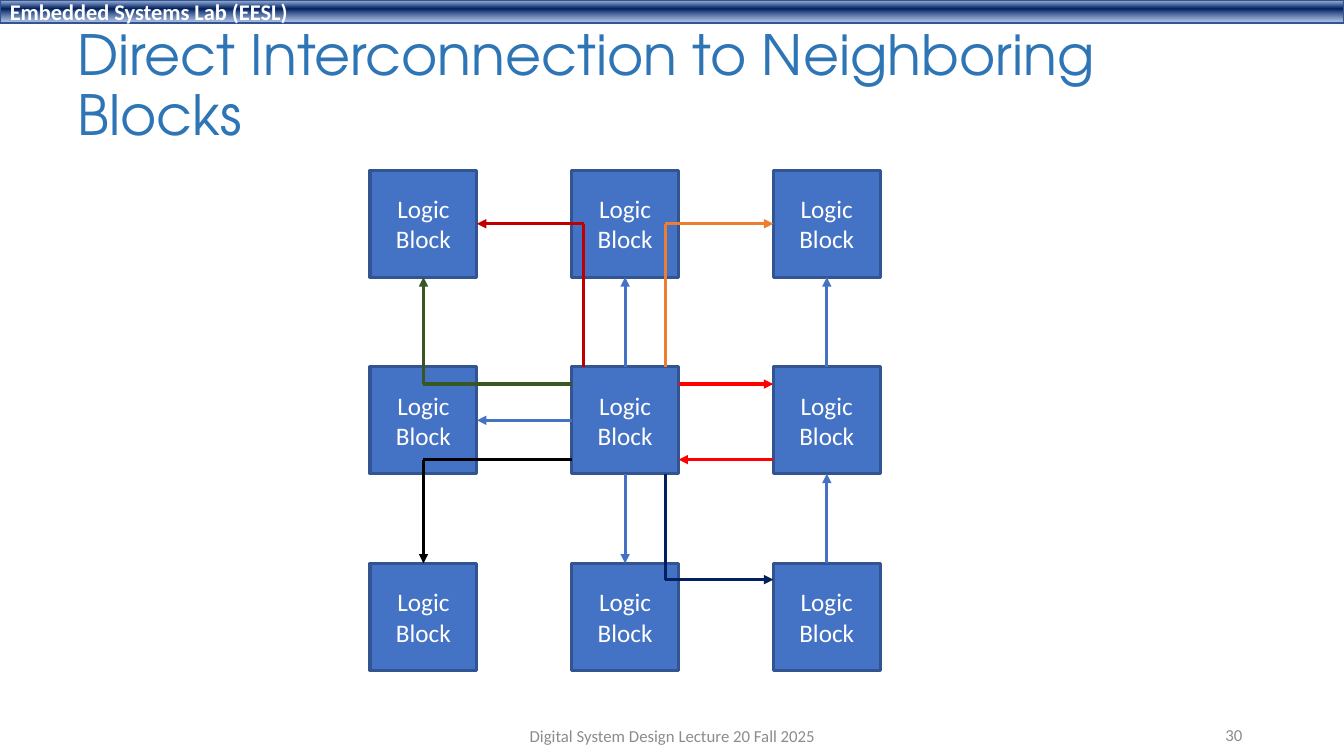
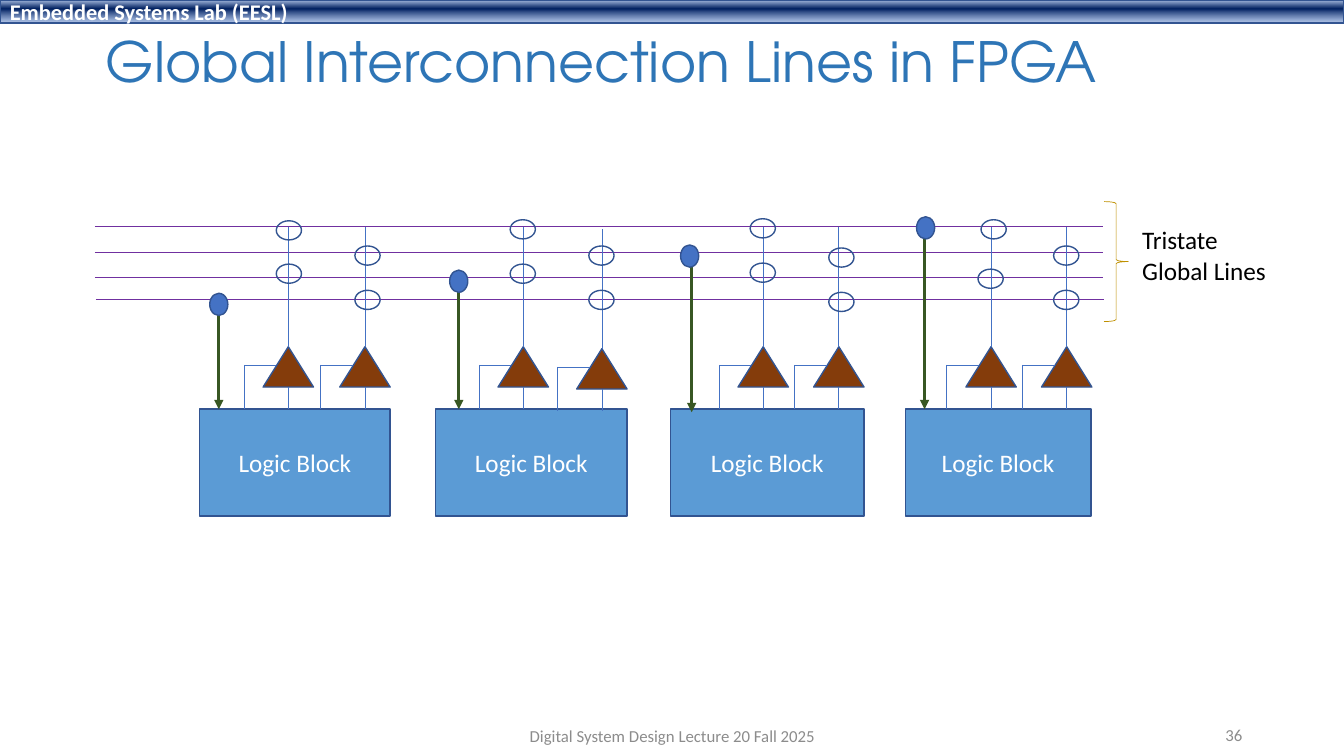
import pptx
import pptx.util
import pptx.dml.color
import pptx.enum.shapes
import pptx.enum.text
import pptx.oxml
import pptx.oxml.ns
from lxml import etree

PX = 9144  # EMU per px, 100 px to the inch
SHAPE = pptx.enum.shapes.MSO_SHAPE
ALIGN = pptx.enum.text.PP_ALIGN
ANCHOR = pptx.enum.text.MSO_ANCHOR

# Shared look
BODY, HEAD = "Calibri", "TeX Gyre Adventor"
WHITE, BLACK, GREY, TITLE = "FFFFFF", "000000", "8C8C8C", "2E75B6"
BLUE, SKY, EDGE, GREEN = "4472C4", "5B9BD5", "325491", "385723"
PURPLE, BROWN, GOLD, RED = "7030A0", "843C0B", "BF9000", "FF0000"
BAND_STOPS = [(2, "ABC0E4", 100), (38, "002060", 100), (93, "7E9ED6", 64)]
BAND_TEXT = "Embedded Systems Lab (EESL)"
FOOTER = "Digital System Design Lecture 20 Fall 2025"

# Slide 1: grid of blocks, and wires as point lists that end in an arrow
GRID_X = [367 + 200 * i for i in range(3)]
GRID_Y = [169 + 195 * i for i in range(3)]
SIDE = 106
WIRES = [
    ("C00000", [(579, 364), (579, 222), (473, 222)]),
    (BLUE, [(620, 364), (620, 275)]),
    ("ED7D31", [(660, 364), (660, 222), (767, 222)]),
    (GREEN, [(567, 381), (420, 381), (420, 275)]),
    (BLUE, [(567, 417), (473, 417)]),
    (BLACK, [(567, 456), (420, 456), (420, 559)]),
    (BLUE, [(620, 470), (620, 559)]),
    (RED, [(673, 381), (767, 381)]),
    (RED, [(767, 456), (673, 456)]),
    (BLUE, [(820, 559), (820, 470)]),
    (BLUE, [(820, 364), (820, 275)]),
    ("002060", [(660, 470), (660, 575), (767, 575)]),
]

# Slide 2: four cells under four global lines
GLOBAL_LINES = [(94, 225), (94, 250), (94, 275), (95, 297)]  # left, y
CELLS = [  # block left and width, drivers (centre x, drop), rings (left, top),
           # input (dot left, dot top, arrow x, arrow end)
    dict(block=(198, 189), drivers=[(286, 0), (362, 0)],
         rings=[(274, 219), (274, 262), (352, 244), (352, 288)],
         dot=(208, 291, 217, 406)),
    dict(block=(432, 190), drivers=[(519, 0), (597, 2)],
         rings=[(506, 218), (506, 262), (584, 244), (584, 288)],
         dot=(446, 268, 455, 406)),
    dict(block=(665, 192), drivers=[(757, 0), (832, 0)],
         rings=[(744, 217), (744, 261), (822, 246), (822, 290)],
         dot=(675, 243, 686, 409)),
    dict(block=(898, 184), drivers=[(983, 0), (1058, 0)],
         rings=[(973, 218), (970, 267), (1045, 244), (1045, 288)],
         dot=(909, 215, 917, 406)),
]


def rgb(value):
    return pptx.dml.color.RGBColor.from_string(value)


def px(*values):
    return [pptx.util.Emu(v * PX) for v in values]


def write(shape, lines, size, color, align=ALIGN.LEFT, font=BODY, bold=False,
          anchor=ANCHOR.MIDDLE, spacing=None, wrap=True):
    tf = shape.text_frame
    tf.text = lines
    tf.word_wrap = wrap
    tf.vertical_anchor = anchor
    for p in tf.paragraphs:
        p.alignment = align
        p.line_spacing = spacing
        for r in p.runs:
            r.font.name, r.font.size = font, pptx.util.Pt(size)
            r.font.bold, r.font.color.rgb = bold, rgb(color)


def label(s, box, lines, size, color, **style):
    write(s.shapes.add_textbox(*px(*box)), lines, size, color, **style)


def draw(s, kind, box, fill=None, line=EDGE, width=1):
    sp = s.shapes.add_shape(kind, *px(*box))
    sp.shadow.inherit = False
    if fill:
        sp.fill.solid()
        sp.fill.fore_color.rgb = rgb(fill)
    else:
        sp.fill.background()
    sp.line.color.rgb = rgb(line)
    sp.line.width = pptx.util.Pt(width)
    return sp


def block(s, box, fill, width):
    sp = draw(s, SHAPE.RECTANGLE, box, fill, width=width)
    write(sp, "Logic Block", 18, WHITE, align=ALIGN.CENTER)


def wire(s, points, color, width, arrow=False):
    """Draw straight segments through the points."""
    for start, end in zip(points, points[1:]):
        c = s.shapes.add_connector(pptx.enum.shapes.MSO_CONNECTOR.STRAIGHT,
                                   *px(*start, *end))
        c.line.color.rgb = rgb(color)
        c.line.width = pptx.util.Pt(width)
        if arrow and end == points[-1]:
            etree.SubElement(c.line._get_or_add_ln(),
                             pptx.oxml.ns.qn("a:tailEnd"), type="triangle")
        etree.SubElement(c._element.spPr, pptx.oxml.ns.qn("a:effectLst"))


def band(s):
    sp = draw(s, SHAPE.RECTANGLE, (0, 0, 1333, 23))
    sp.fill.gradient()
    sp.fill.gradient_angle = 270
    stops = "".join(
        f'<a:gs pos="{pos * 1000}"><a:srgbClr val="{color}">'
        f'<a:alpha val="{alpha * 1000}"/></a:srgbClr></a:gs>'
        for pos, color, alpha in BAND_STOPS)
    ns = pptx.oxml.ns.nsdecls("a")
    old = sp._element.spPr.find(".//" + pptx.oxml.ns.qn("a:gsLst"))
    old.getparent().replace(
        old, pptx.oxml.parse_xml(f"<a:gsLst {ns}>{stops}</a:gsLst>"))
    write(sp, BAND_TEXT, 16, WHITE, bold=True)


def new_slide(prs, title, title_box, number):
    s = prs.slides.add_slide(prs.slide_layouts[6])
    band(s)
    label(s, title_box, title, 39.6, TITLE, font=HEAD, spacing=0.9)
    label(s, (942, 709, 300, 40), number, 12, GREY, align=ALIGN.RIGHT)
    label(s, (442, 710, 450, 40), FOOTER, 12, GREY, align=ALIGN.CENTER)
    return s


def driver(s, x, drop):
    """Tristate buffer with its enable, input and output wires."""
    top, tap, base = 344 + drop, 362 + drop, 406 + drop
    draw(s, SHAPE.ISOSCELES_TRIANGLE, (x - 25, top, 50, 40), BROWN)
    for points in ([(x - 12, tap), (x - 44, tap), (x - 44, base)],
                   [(x, top + 40), (x, base)],
                   [(x, top), (x, 225 + drop)]):
        wire(s, points, BLUE, 0.5)


def neighbor_slide(prs):
    s = new_slide(prs, "Direct Interconnection to Neighboring Blocks",
                  (67, 34, 1150, 106), "30")
    for y in GRID_Y:
        for x in GRID_X:
            block(s, (x, y, SIDE, SIDE), BLUE, 2.25)
    for color, points in WIRES:
        wire(s, points, color, 2.25, arrow=True)


def global_slide(prs):
    s = new_slide(prs, "Global Interconnection Lines in FPGA",
                  (95, 30, 1150, 68), "36")
    for x, y in GLOBAL_LINES:
        wire(s, [(x, y), (x + 1000, y)], PURPLE, 0.5)
    for cell in CELLS:
        left, width = cell["block"]
        block(s, (left, 406, width, 106), SKY, 1)
        for x, drop in cell["drivers"]:
            driver(s, x, drop)
        for x, y in cell["rings"]:
            draw(s, SHAPE.OVAL, (x, y, 25, 19))
        x, y, arrow_x, end = cell["dot"]
        wire(s, [(arrow_x, y + 10), (arrow_x, end)], GREEN, 2.25, arrow=True)
        draw(s, SHAPE.OVAL, (x, y, 18, 22), BLUE)
    # Bracket around the global lines
    draw(s, SHAPE.RIGHT_BRACE, (1095, 200, 24, 119), line=GOLD, width=0.5)
    label(s, (1123, 218, 144, 71), "Tristate\nGlobal Lines", 18, BLACK,
          anchor=ANCHOR.TOP, wrap=False)


def main():
    prs = pptx.Presentation()
    prs.slide_width, prs.slide_height = px(1333, 750)
    neighbor_slide(prs)
    global_slide(prs)
    prs.save("out.pptx")


if __name__ == "__main__":
    main()
